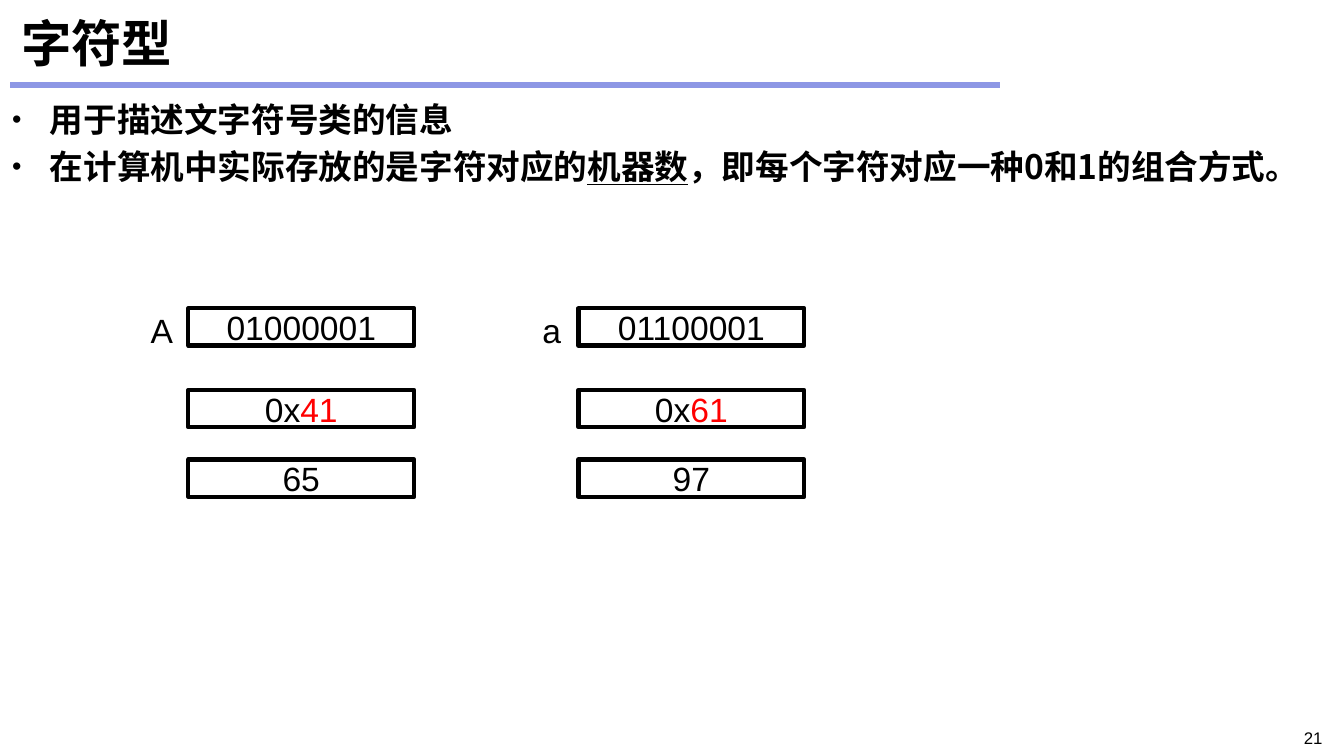
from lxml import etree
from pptx import Presentation
from pptx.dml.color import RGBColor
from pptx.enum.shapes import MSO_CONNECTOR, MSO_SHAPE
from pptx.enum.text import MSO_ANCHOR, MSO_AUTO_SIZE, PP_ALIGN
from pptx.oxml.ns import qn
from pptx.util import Pt

LINE, RECT = MSO_CONNECTOR.STRAIGHT, MSO_SHAPE.RECTANGLE
TOP, MIDDLE = MSO_ANCHOR.TOP, MSO_ANCHOR.MIDDLE
FIXED, GROW = MSO_AUTO_SIZE.NONE, MSO_AUTO_SIZE.SHAPE_TO_FIT_TEXT
LEFT, CENTER, RIGHT = PP_ALIGN.LEFT, PP_ALIGN.CENTER, PP_ALIGN.RIGHT

LATIN, HAN = "Arial", "Noto Sans CJK SC"
BLACK, RED, BLUE = "000000", "FF0000", "8D97E5"


def color(code):
    return RGBColor.from_string(code)


def style(para, size, face=LATIN, bold=False, tint=BLACK):
    font = para.font
    font.size, font.name, font.bold = Pt(size), face, bold
    if tint:
        font.color.rgb = color(tint)
    base = para._p.pPr.find(qn("a:defRPr"))
    latin = base.find(qn("a:latin"))
    east = etree.Element(qn("a:ea"), typeface=face)
    latin.addnext(east)


def place(shape, box):
    shape.left, shape.top, shape.width, shape.height = map(Pt, box)


def inset(frame, side, edge):
    frame.margin_left = frame.margin_right = Pt(side)
    frame.margin_top = frame.margin_bottom = Pt(edge)


def bullet(para):
    props = para._p.get_or_add_pPr()
    props.set("marL", str(Pt(27)))
    props.set("indent", str(Pt(-27)))
    etree.SubElement(props, qn("a:buSzPct"), val="80000")
    etree.SubElement(props, qn("a:buFont"), typeface=LATIN)
    etree.SubElement(props, qn("a:buChar"), char="•")


# Title with the rule below it
def header(slide, box, text):
    x, y, _, height = box
    level = y + height + 6.5
    rule = slide.shapes.add_connector(LINE, Pt(x - 0.7), Pt(level), Pt(x + 706.3), Pt(level))
    rule.line.color.rgb = color(BLUE)
    rule.line.width = Pt(4.5)
    etree.SubElement(rule._element.spPr, qn("a:effectLst"))

    title = slide.shapes.title
    place(title, box)
    frame = title.text_frame
    frame.auto_size, frame.vertical_anchor = FIXED, MIDDLE
    inset(frame, 7.2, 3.6)
    frame.text = text
    para = frame.paragraphs[0]
    para.alignment = LEFT
    style(para, 36, HAN, True)


# Bulleted list; each item is a list of (text, underlined) pairs
def points(slide, box, items):
    body = slide.placeholders[1]
    place(body, box)
    frame = body.text_frame
    frame.auto_size, frame.vertical_anchor = FIXED, TOP
    inset(frame, 1.4, 0.7)
    frame.margin_top = Pt(3)
    for i, item in enumerate(items):
        para = frame.add_paragraph() if i else frame.paragraphs[0]
        para.line_spacing = Pt(28.6)
        para.space_before = Pt(5 if i else 0)
        bullet(para)
        style(para, 24, HAN, True)
        for text, under in item:
            run = para.add_run()
            run.text = text
            if under:
                run.font.underline = True


def cell(slide, box, parts):
    rect = slide.shapes.add_shape(RECT, *map(Pt, box))
    rect.shadow.inherit = False
    rect.fill.background()
    rect.line.color.rgb = color(BLACK)
    rect.line.width = Pt(3)
    frame = rect.text_frame
    frame.word_wrap, frame.vertical_anchor = False, MIDDLE
    inset(frame, 7.2, 0)
    para = frame.paragraphs[0]
    para.alignment = CENTER
    style(para, 24, tint=None)
    for text, tint in parts:
        run = para.add_run()
        run.text = text
        run.font.color.rgb = color(tint)


def label(slide, box, text, size, align, wrap):
    note = slide.shapes.add_textbox(*map(Pt, box))
    frame = note.text_frame
    frame.word_wrap = wrap
    frame.auto_size = FIXED if wrap else GROW
    frame.text = text
    para = frame.paragraphs[0]
    para.alignment = align
    style(para, size)


# One character with its binary, hex and decimal codes
def codes(slide, box, char):
    x, y, width, height = box
    num = ord(char)
    label(slide, (x - 34, y - 2.2, 30, 36), char, 24, CENTER, False)
    rows = [
        (0, [(f"{num:08b}", BLACK)]),
        (58.3, [("0x", BLACK), (f"{num:x}", RED)]),
        (108, [(str(num), BLACK)]),
    ]
    for drop, parts in rows:
        cell(slide, (x, y + drop, width, height), parts)


def main():
    deck = Presentation()
    deck.slide_width, deck.slide_height = Pt(960), Pt(540)
    slide = deck.slides.add_slide(deck.slide_layouts[1])
    header(slide, (7.9, 5.8, 943.9, 48.2), "字符型")
    points(slide, (7.2, 67.7, 944.6, 468.7), [
        [("用于描述文字符号类的信息", False)],
        [("在计算机中实际存放的是字符对应的", False), ("机器数", True),
         ("，即每个字符对应一种0和1的组合方式。", False)],
    ])
    for i, char in enumerate("Aa"):
        codes(slide, (134.6 + 278.6 * i, 220.3, 161.3, 26.6), char)
    label(slide, (857.5, 516.2, 94.3, 18), "21", 12, RIGHT, True)
    deck.save("out.pptx")


if __name__ == "__main__":
    main()
